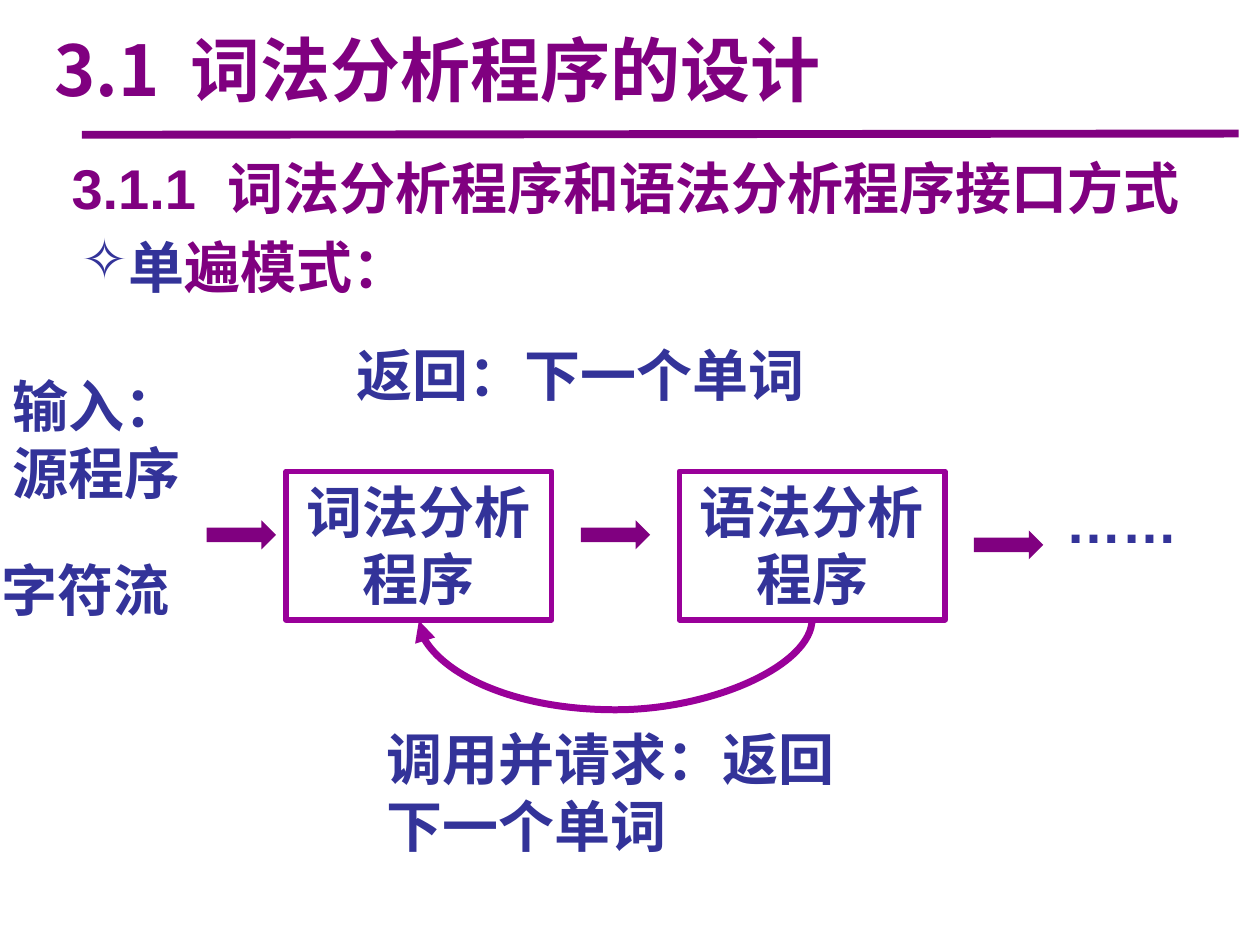
from lxml import etree
from pptx import Presentation
from pptx.dml.color import RGBColor
from pptx.enum.shapes import MSO_CONNECTOR, MSO_SHAPE
from pptx.enum.text import MSO_ANCHOR, MSO_AUTO_SIZE, PP_ALIGN
from pptx.oxml.ns import qn
from pptx.util import Inches, Pt

LEFT, CENTER = PP_ALIGN.LEFT, PP_ALIGN.CENTER
TOP, MIDDLE = MSO_ANCHOR.TOP, MSO_ANCHOR.MIDDLE
COLORS = {"heading": "800080", "outline": "990099", "text": "333399"}
LATIN, CJK = "Arial", "Noto Sans CJK SC"

# Headings: number, words, place, format
HEADINGS = [
    ("3.1", "词法分析程序的设计", (0, 0.23, 6.94, 0.71),
     {"size": 40, "font": CJK, "align": CENTER, "anchor": MIDDLE, "spacing": 0.9}),
    ("3.1.1", "词法分析程序和语法分析程序接口方式", (0.47, 1.17, 9.84, 0.64), {}),
]
MODE = [("单", "text"), ("遍模式：", "heading")]
LABELS = [
    (["输入：", "源程序"], (0, 2.9, 1.72, 1.18)),
    (["字符流"], (-0.09, 4.36, 1.72, 0.64)),
    (["……"], (8.36, 3.82, 1.25, 0.64)),
    (["调用并请求：返回下一个单词"], (2.97, 5.7, 3.98, 1.18)),
    (["返回：下一个单词"], (2.73, 2.65, 3.98, 0.64)),
]
STAGES = ["词法分析程序", "语法分析程序"]
STAGE_LEFT, STAGE_STEP, STAGE_TOP = 2.27, 3.12, 3.74
STAGE_SIZE = (2.11, 1.18)
FLOW_ARROWS = [(1.64, 4.13), (4.61, 4.13), (7.73, 4.21)]
FLOW_SIZE = (0.55, 0.23)
CALL_DEPTH = 0.73


def rgb(name):
    return RGBColor.from_string(COLORS[name])


def inches(*lengths):
    return [Inches(length) for length in lengths]


def write(frame, paragraphs, size=32, font=LATIN, align=LEFT, anchor=TOP,
          spacing=None, wrap=True):
    """Fill a frame with paragraphs, each a list of (words, colour) runs."""
    frame_format = {"word_wrap": wrap, "vertical_anchor": anchor,
                    "auto_size": MSO_AUTO_SIZE.SHAPE_TO_FIT_TEXT}
    for key, value in frame_format.items():
        setattr(frame, key, value)
    for index, runs in enumerate(paragraphs):
        paragraph = frame.add_paragraph() if index else frame.paragraphs[0]
        paragraph.alignment = align
        paragraph.line_spacing = spacing
        for words, color in runs:
            run = paragraph.add_run()
            run.text = words
            run_format = {"size": Pt(size), "name": font, "bold": True}
            for key, value in run_format.items():
                setattr(run.font, key, value)
            run.font.color.rgb = rgb(color)
            east_asian = etree.SubElement(run.font._element, qn("a:ea"))
            east_asian.set("typeface", font)


def add_text(slide, place, paragraphs, **text_format):
    box = slide.shapes.add_textbox(*inches(*place))
    write(box.text_frame, paragraphs, **text_format)
    return box.text_frame


def add_shape(slide, kind, place, fill=None, outline=None):
    shape = slide.shapes.add_shape(kind, *inches(*place))
    shape.shadow.inherit = False
    if fill:
        shape.fill.solid()
        shape.fill.fore_color.rgb = rgb(fill)
    else:
        shape.fill.background()
    if outline:
        shape.line.color.rgb = rgb(outline)
        shape.line.width = Pt(3)
    else:
        shape.line.fill.background()
    return shape


def add_line(slide, kind, ends, color, width):
    line = slide.shapes.add_connector(kind, *inches(*ends))
    line.line.color.rgb = rgb(color)
    line.line.width = Pt(width)
    etree.SubElement(line._element.spPr, qn("a:effectLst"))
    return line


def add_call_curve(slide):
    """Arc from under the second stage back to under the first."""
    thin = 0.01
    middle_x = STAGE_LEFT + (STAGE_SIZE[0] + STAGE_STEP) / 2
    bottom = STAGE_TOP + STAGE_SIZE[1]
    ends = (middle_x - thin / 2, bottom - STAGE_STEP / 2,
            middle_x + thin / 2, bottom + STAGE_STEP / 2)
    curve = add_line(slide, MSO_CONNECTOR.CURVE, ends, "outline", 4)
    properties = curve._element.spPr
    properties.find(qn("a:xfrm")).set("rot", str(90 * 60000))
    guides = properties.find(qn("a:prstGeom")).find(qn("a:avLst"))
    bend = etree.SubElement(guides, qn("a:gd"))
    bend.set("name", "adj1")
    bend.set("fmla", f"val {round(CALL_DEPTH / thin * 100000)}")
    head = etree.SubElement(properties.find(qn("a:ln")), qn("a:tailEnd"))
    head.set("type", "triangle")


def main():
    deck = Presentation()
    deck.slide_width, deck.slide_height = inches(10, 7.5)
    slide = deck.slides.add_slide(deck.slide_layouts[6])

    add_line(slide, MSO_CONNECTOR.STRAIGHT, (0.65, 1.07, 9.83, 1.06), "heading", 4.5)
    for number, words, place, text_format in HEADINGS:
        runs = [(part, "heading") for part in (number, " ", words)]
        frame = add_text(slide, place, [runs], **text_format)
        gap = frame.paragraphs[0].runs[1]
        gap.font._element.set("spc", "900")

    mode = add_text(slide, (0.55, 1.8, 2.98, 0.64), [MODE], font=CJK, wrap=False)
    bullet = etree.SubElement(mode.paragraphs[0]._p.get_or_add_pPr(), qn("a:buChar"))
    bullet.set("char", "✧")

    for lines, place in LABELS:
        add_text(slide, place, [[(line, "text")] for line in lines])
    for column, stage in enumerate(STAGES):
        place = (STAGE_LEFT + column * STAGE_STEP, STAGE_TOP, *STAGE_SIZE)
        box = add_shape(slide, MSO_SHAPE.RECTANGLE, place, outline="outline")
        write(box.text_frame, [[(stage, "text")]], align=CENTER)
    for corner in FLOW_ARROWS:
        add_shape(slide, MSO_SHAPE.RIGHT_ARROW, (*corner, *FLOW_SIZE), fill="heading")
    add_call_curve(slide)

    deck.save("out.pptx")


if __name__ == "__main__":
    main()
